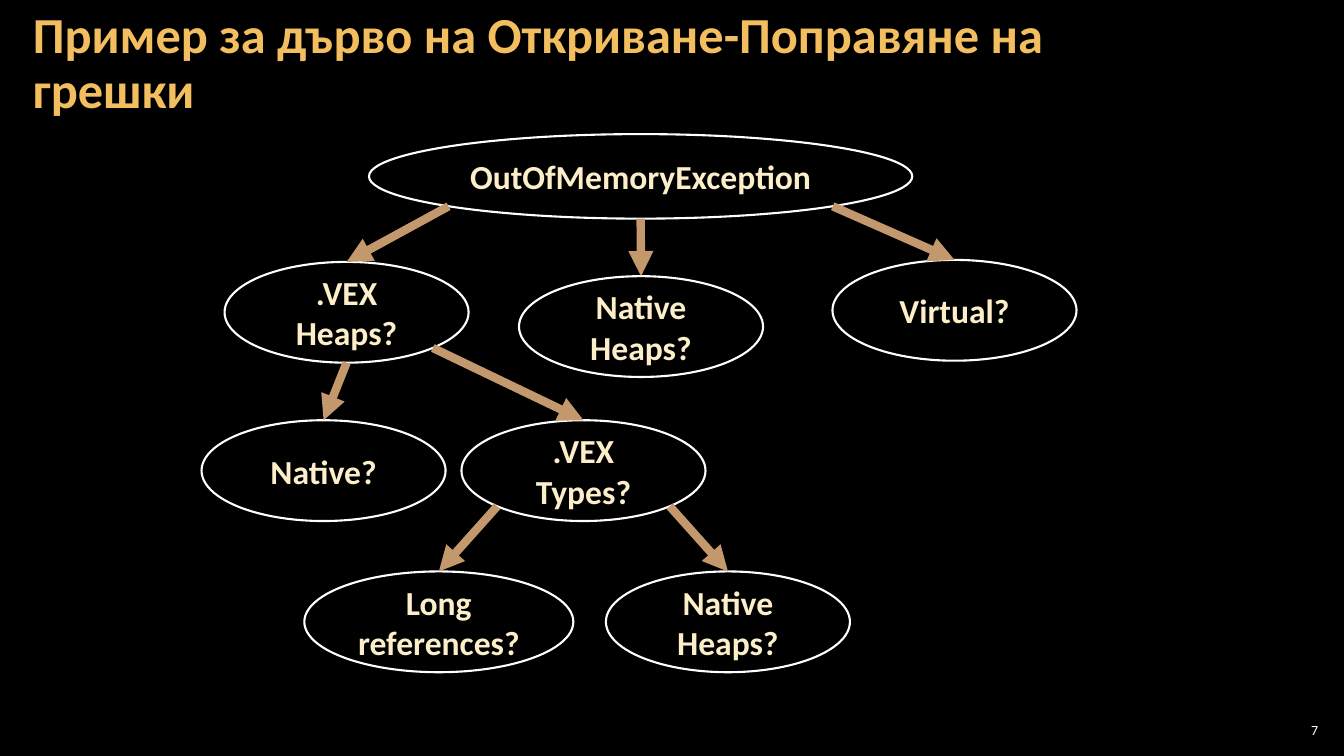
from math import sqrt

from lxml import etree
from pptx import Presentation
from pptx import util as u
from pptx.dml.color import RGBColor
from pptx.enum import shapes, text
from pptx.oxml.ns import qn


def paint(target, color):
    """Give a fill or line format one solid colour."""
    target.solid()
    target.fore_color.rgb = RGBColor.from_string(color)


def write(frame, words, size, color, align, bold=True):
    frame.text = words
    frame.word_wrap = True
    frame.auto_size = text.MSO_AUTO_SIZE.NONE
    frame.vertical_anchor = text.MSO_ANCHOR.MIDDLE
    paragraph = frame.paragraphs[0]
    paragraph.alignment = align
    font = paragraph.runs[0].font
    font.name, font.size, font.bold = "Calibri", u.Pt(size), bold
    paint(font.fill, color)


deck = Presentation()
deck.slide_width, deck.slide_height = u.Cm(33.87), u.Cm(19.05)
slide = deck.slides.add_slide(deck.slide_layouts[5])
paint(slide.background.fill, "000000")

# Title
title = slide.shapes.title
title.left, title.top = u.Cm(0.53), u.Cm(0.1)
title.width, title.height = u.Cm(26.6), u.Cm(3.07)
write(title.text_frame, "Пример за дърво на Откриване-Поправяне на грешки",
      36, "F3BE60", text.PP_ALIGN.LEFT)
title.text_frame.margin_left = title.text_frame.margin_right = u.Cm(0.3)
title.text_frame.margin_top = title.text_frame.margin_bottom = u.Cm(0.1)
title.text_frame.paragraphs[0].line_spacing = 0.9

# Slide number
number = slide.shapes.add_textbox(u.Cm(32.13), u.Cm(18.14), u.Cm(1.19), u.Cm(0.53))
write(number.text_frame, "7", 10, "FFFFFF", text.PP_ALIGN.RIGHT, bold=False)
for side in ("left", "right", "top", "bottom"):
    setattr(number.text_frame, f"margin_{side}", u.Cm(0.1))

# Tree nodes: key, wording, left, top, width, height in cm
nodes = [
    ("exception", "OutOfMemoryException", 9.3, 3.38, 13.69, 2.13),
    ("native heaps", "Native Heaps?", 13.08, 6.96, 6.15, 2.54),
    ("virtual", "Virtual?", 20.98, 6.55, 6.15, 2.54),
    ("managed heaps", ".VEX Heaps?", 5.66, 6.6, 6.15, 2.54),
    ("managed types", ".VEX Types?", 11.63, 10.59, 6.15, 2.54),
    ("native", "Native?", 5.08, 10.59, 6.15, 2.54),
    ("type heaps", "Native Heaps?", 15.27, 14.4, 6.15, 2.54),
    ("references", "Long references?", 7.67, 14.4, 6.78, 2.54),
]
tree = {}
for key, words, *box in nodes:
    node = slide.shapes.add_shape(shapes.MSO_SHAPE.OVAL, *map(u.Cm, box))
    node.shadow.inherit = False
    paint(node.fill, "000000")
    paint(node.line.fill, "FFFFFF")
    node.line.width = u.Pt(1.5)
    write(node.text_frame, words, 24, "FBEEC9", text.PP_ALIGN.CENTER)
    tree[key] = node

# Branches: parent, child, exit side (-1 lower left, 0 bottom, 1 lower right)
branches = [
    ("exception", "managed heaps", -1),
    ("exception", "native heaps", 0),
    ("exception", "virtual", 1),
    ("managed heaps", "native", 0),
    ("managed heaps", "managed types", 1),
    ("managed types", "references", -1),
    ("managed types", "type heaps", 1),
]
for parent_key, child_key, side in branches:
    parent, child = tree[parent_key], tree[child_key]
    # Side exits lie on the ellipse at 45 degrees
    across = side / sqrt(2)
    down = sqrt(1 - across ** 2)
    branch = slide.shapes.add_connector(
        shapes.MSO_CONNECTOR.STRAIGHT,
        int(parent.left + parent.width / 2 * (1 + across)),
        int(parent.top + parent.height / 2 * (1 + down)),
        child.left + child.width // 2,
        child.top,
    )
    paint(branch.line.fill, "C3986D")
    branch.line.width = u.Pt(6)
    etree.SubElement(branch.line._get_or_add_ln(), qn("a:tailEnd"), type="triangle")
    etree.SubElement(branch._element.spPr, qn("a:effectLst"))

deck.save("out.pptx")
